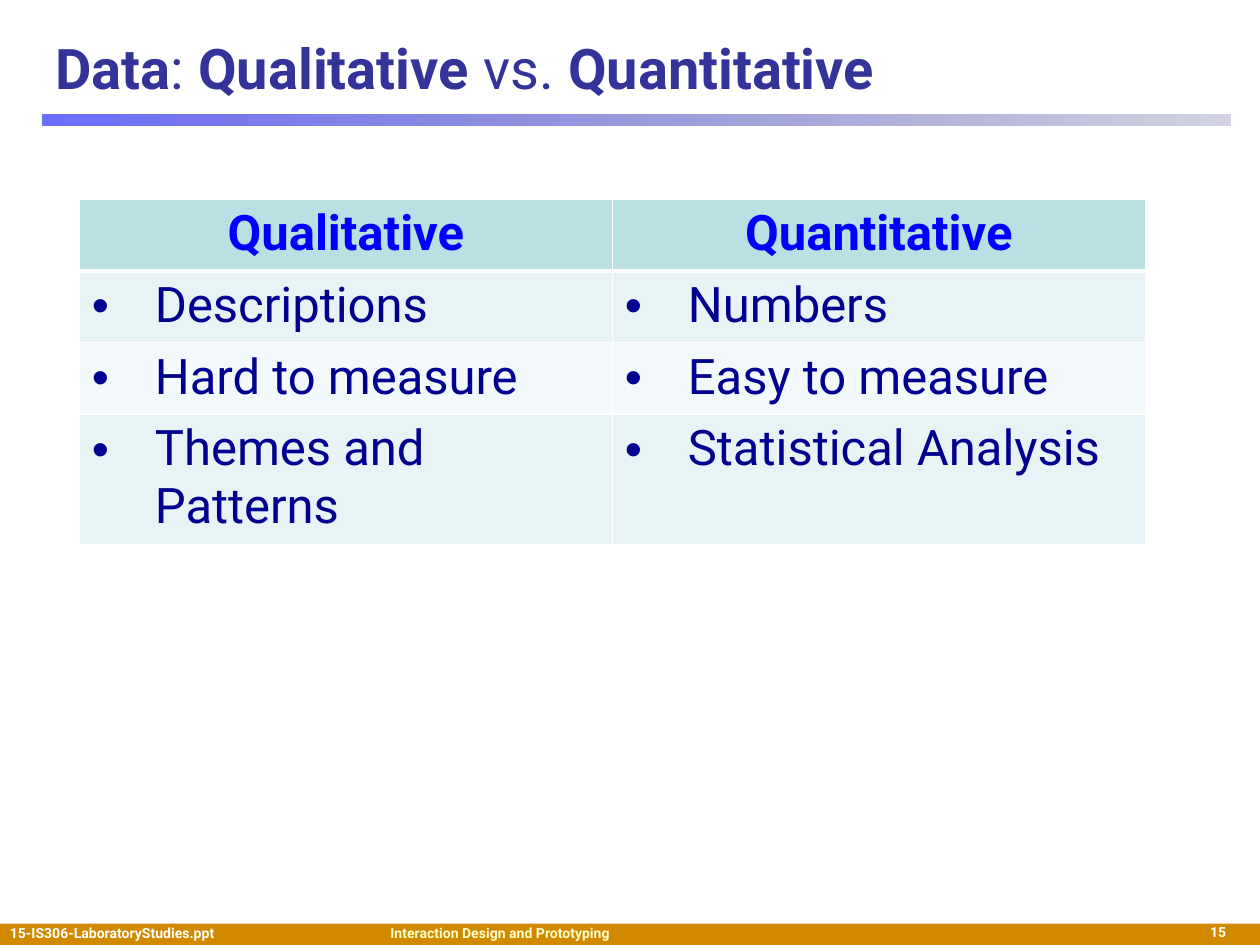
from pptx import Presentation
from pptx import util as u
from pptx.dml.color import RGBColor
from pptx.enum import shapes, text
from pptx.oxml import parse_xml
from pptx.oxml.ns import nsdecls

TITLE = [("Data", True), (": ", False), ("Qualitative ", True),
         ("vs. ", False), ("Quantitative", True)]
ROWS = [
    ("Qualitative", "Quantitative"),
    ("Descriptions", "Numbers"),
    ("Hard to measure", "Easy to measure"),
    ("Themes and Patterns", "Statistical Analysis"),
]
ROW_HEIGHTS = [0.57, 0.57, 0.56, 1.03]
COLUMN_WIDTH = 4.23

THEME = {
    "font": "Roboto",
    "title_size": 32, "table_size": 28, "footer_size": 8,
    "title": "333399", "header": "0000FF", "body": "000090",
    "header_fill": "BBE0E3", "bands": ("F3F9FA", "E7F3F4"),
    "border": "FFFFFF", "footer_bar": "D18A00",
    "rule": (("464AFC", 80), ("202275", 20)),
}
LEFT, CENTER, RIGHT = (text.PP_ALIGN.LEFT, text.PP_ALIGN.CENTER,
                       text.PP_ALIGN.RIGHT)
FOOTERS = [
    ("15-IS306-LaboratoryStudies.ppt", (-0.02, 7.29, 3.45, 0.23), "FFFFFF", LEFT),
    ("Interaction Design and Prototyping", (3, 7.29, 4, 0.17), "FFFFCC", LEFT),
    ("15", (8.41, 7.28, 1.42, 0.2), "FFFFFF", RIGHT),
]


def rgb(value):
    return RGBColor.from_string(value)


def add_run(p, wording, size, color, bold):
    r = p.add_run()
    r.text = wording
    r.font.name = THEME["font"]
    r.font.size = u.Pt(size)
    r.font.bold = bold
    r.font.color.rgb = rgb(color)


def add_bar(s, box):
    sp = s.shapes.add_shape(shapes.MSO_SHAPE.RECTANGLE, *map(u.Inches, box))
    sp.shadow.inherit = False
    sp.line.fill.background()
    return sp


def fade(sp, stops):
    sp.fill.gradient()
    sp.fill.gradient_angle = 0
    for stop, (color, _) in zip(sp.fill.gradient_stops, stops):
        stop.color.rgb = rgb(color)
    colors = sp._element.spPr.xpath("./a:gradFill//a:srgbClr")
    for element, (_, opacity) in zip(colors, stops):
        element.append(parse_xml(
            f'<a:alpha {nsdecls("a")} val="{opacity * 1000}"/>'))


def add_text(s, box, runs, size, color, align=LEFT, anchor=text.MSO_ANCHOR.TOP):
    tf = s.shapes.add_textbox(*map(u.Inches, box)).text_frame
    tf.word_wrap = True
    tf.vertical_anchor = anchor
    p = tf.paragraphs[0]
    p.alignment = align
    for wording, bold in runs:
        add_run(p, wording, size, color, bold)


def set_borders(cell, header, first_body):
    tcPr = cell._tc.get_or_add_tcPr()
    thick = {"B"} if header else {"T"} if first_body else set()
    for i, side in enumerate("LRTB"):
        width = u.Pt(3 if side in thick else 1)
        tcPr.insert(i, parse_xml(
            f'<a:ln{side} {nsdecls("a")} w="{width}"><a:solidFill>'
            f'<a:srgbClr val="{THEME["border"]}"/></a:solidFill></a:ln{side}>'))


def add_bullet(p):
    pPr = p._p.get_or_add_pPr()
    pPr.set("marL", str(u.Inches(0.5)))
    pPr.set("indent", str(u.Inches(-0.5)))
    pPr.append(parse_xml(f'<a:buFont {nsdecls("a")} typeface="Arial"/>'))
    pPr.append(parse_xml(f'<a:buChar {nsdecls("a")} char="•"/>'))


def add_comparison(s):
    columns = len(ROWS[0])
    box = (0.63, 1.58, COLUMN_WIDTH * columns, sum(ROW_HEIGHTS))
    table = s.shapes.add_table(len(ROWS), columns, *map(u.Inches, box)).table
    for column in table.columns:
        column.width = u.Inches(COLUMN_WIDTH)
    for i, (row, height) in enumerate(zip(ROWS, ROW_HEIGHTS)):
        table.rows[i].height = u.Inches(height)
        header = i == 0
        for j, wording in enumerate(row):
            cell = table.cell(i, j)
            cell.fill.solid()
            cell.fill.fore_color.rgb = rgb(
                THEME["header_fill"] if header else THEME["bands"][i % 2])
            set_borders(cell, header, i == 1)
            p = cell.text_frame.paragraphs[0]
            p.alignment = CENTER if header else LEFT
            if not header:
                add_bullet(p)
            add_run(p, wording, THEME["table_size"],
                    THEME["header" if header else "body"], header)


def main():
    prs = Presentation()
    prs.slide_width, prs.slide_height = u.Inches(10), u.Inches(7.5)
    s = prs.slides.add_slide(prs.slide_layouts[6])

    footer_bar = add_bar(s, (0, 7.33, 10, 0.17))
    footer_bar.fill.solid()
    footer_bar.fill.fore_color.rgb = rgb(THEME["footer_bar"])

    fade(add_bar(s, (0.34, 0.91, 9.43, 0.09)), THEME["rule"])

    add_text(s, (0.34, 0.16, 9.42, 0.75), TITLE, THEME["title_size"],
             THEME["title"], anchor=text.MSO_ANCHOR.MIDDLE)
    for wording, box, color, align in FOOTERS:
        add_text(s, box, [(wording, True)], THEME["footer_size"], color, align)
    add_comparison(s)
    prs.save("out.pptx")


if __name__ == "__main__":
    main()
